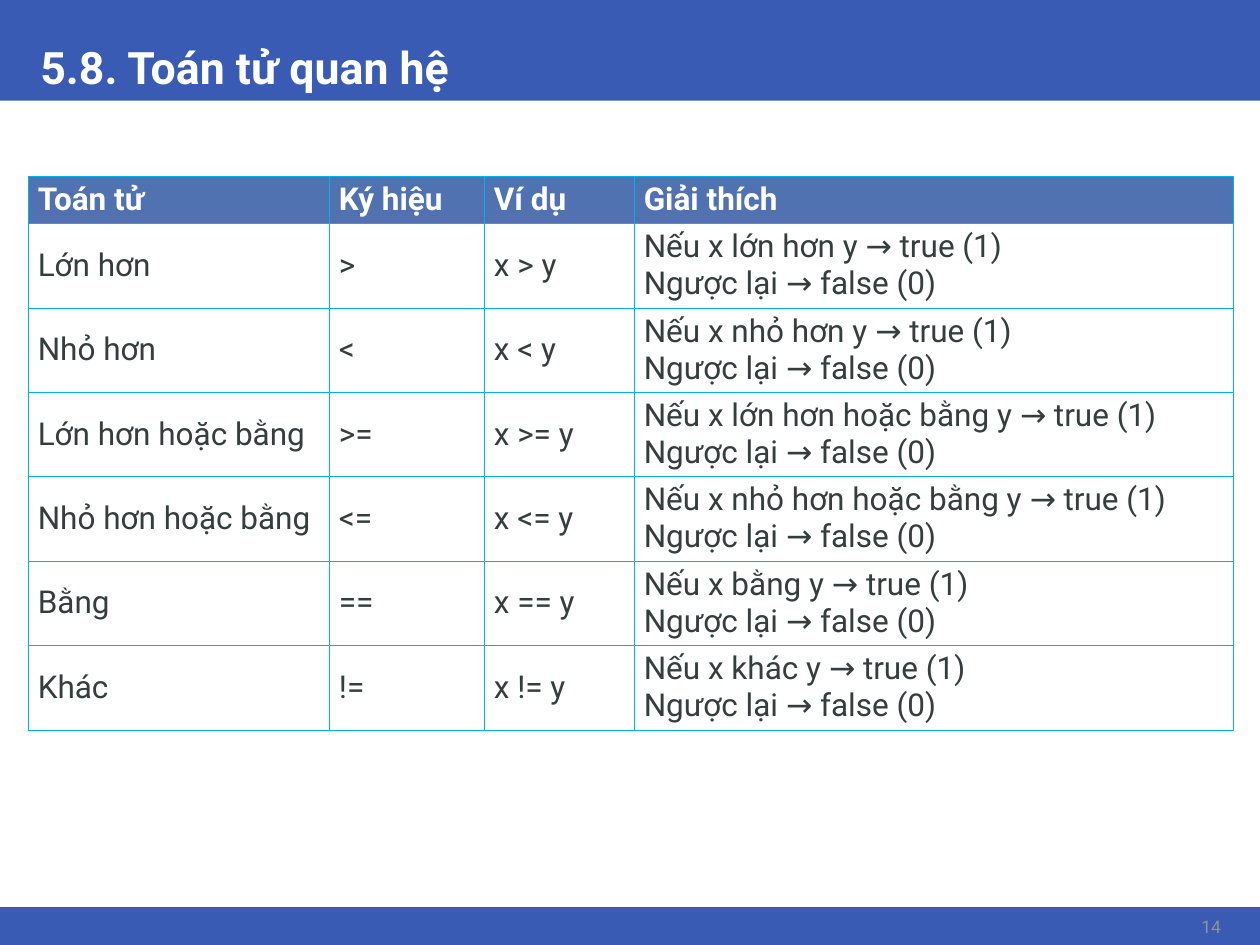
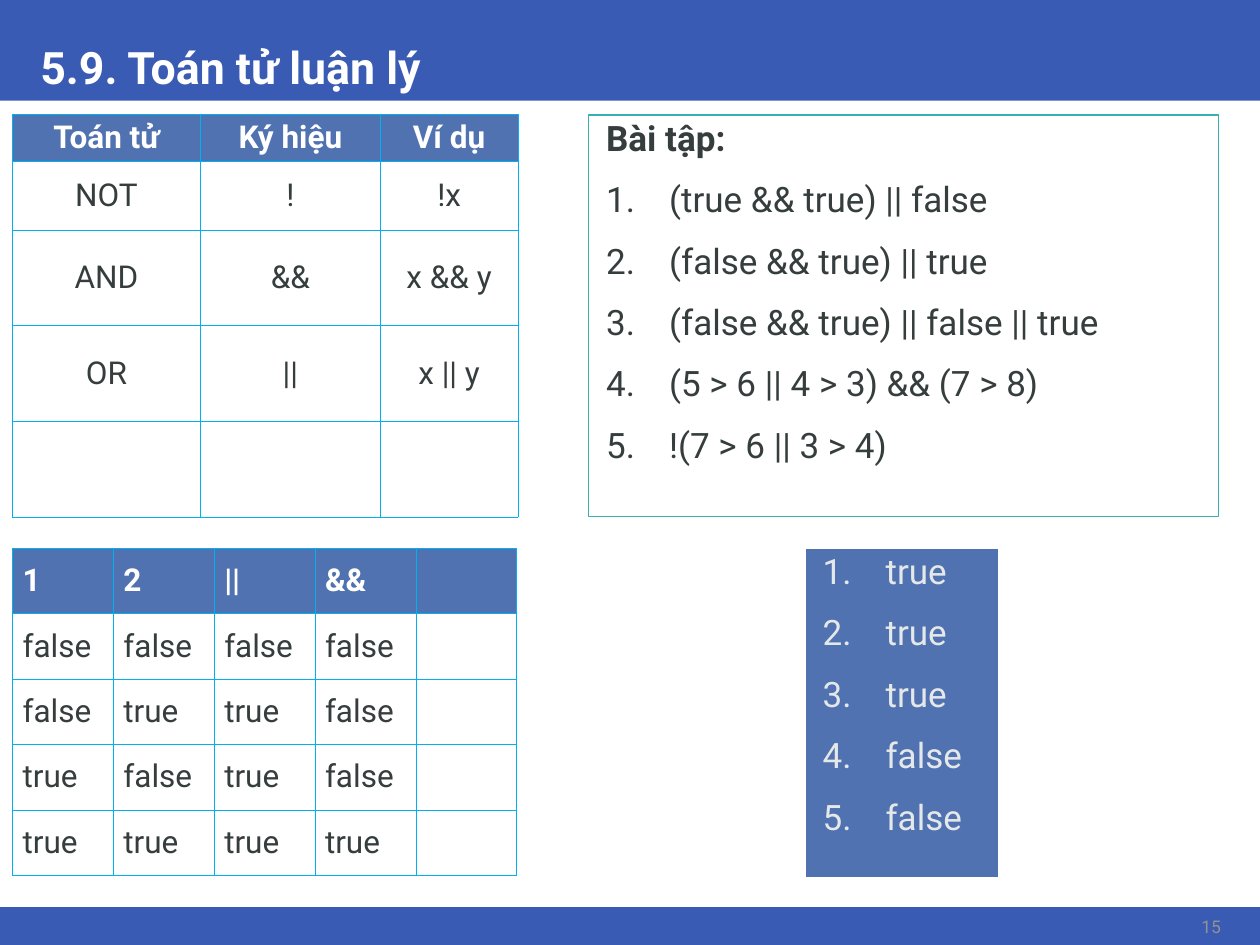
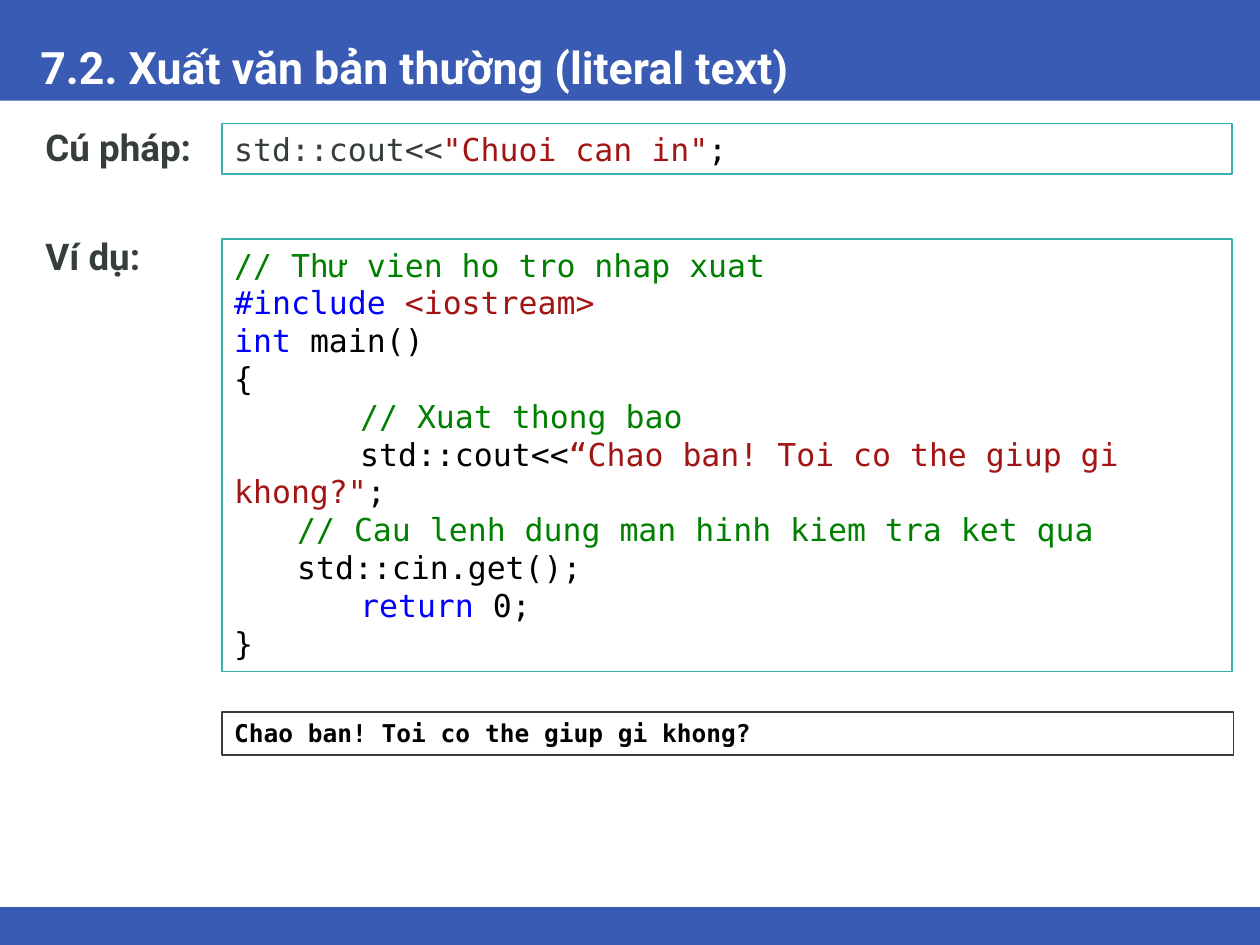
from lxml.etree import SubElement
from pptx import Presentation
from pptx.dml.color import RGBColor
from pptx.enum.shapes import MSO_SHAPE
from pptx.enum.text import MSO_ANCHOR, MSO_AUTO_SIZE, PP_ALIGN
from pptx.oxml.ns import qn
from pptx.util import Inches, Pt

# Shared style
BAND_BLUE = RGBColor(0x3A, 0x5B, 0xB3)
HEADER_BLUE = RGBColor(0x51, 0x72, 0xB1)
BORDER_BLUE = RGBColor(0x00, 0xB0, 0xF0)
TEAL = RGBColor(0x3A, 0xAF, 0xB2)
INK = RGBColor(0x36, 0x3D, 0x3D)
GRAY = RGBColor(0x91, 0x92, 0x92)
PALE = RGBColor(0xE5, 0xE8, 0xE8)
WHITE = RGBColor(0xFF, 0xFF, 0xFF)
BLACK = RGBColor(0x00, 0x00, 0x00)
CODE_RED = RGBColor(0xA3, 0x15, 0x15)
CODE_GREEN = RGBColor(0x00, 0x80, 0x00)
CODE_BLUE = RGBColor(0x00, 0x00, 0xFF)

TEXT_FONT = "Roboto"
CODE_FONT = "DejaVu Sans Mono"
TITLE_ONLY, TITLE_AND_BODY = 5, 1


def write(paragraph, text, *, size=18, color=INK, bold=False, font=TEXT_FONT,
          align=PP_ALIGN.LEFT, line_spacing=1.0, space_before=0,
          left=0, indent=0, numbered=False, tab=None):
    """Fill a paragraph with a string or with a list of (string, colour) runs."""
    properties = paragraph._p.get_or_add_pPr()
    properties.set("marL", str(Inches(left)))
    properties.set("indent", str(Inches(indent)))
    if numbered:
        SubElement(properties, qn("a:buFont"), typeface="+mj-lt")
        SubElement(properties, qn("a:buAutoNum"), type="arabicPeriod")
    else:
        SubElement(properties, qn("a:buNone"))
    if tab:
        tabs = SubElement(properties, qn("a:tabLst"))
        SubElement(tabs, qn("a:tab"), pos=str(Inches(tab)), algn="l")
    paragraph.alignment = align
    paragraph.line_spacing = line_spacing
    paragraph.space_before = Pt(space_before)
    paragraph.space_after = Pt(0)
    runs = [(text, color)] if isinstance(text, str) else text
    for run_text, run_color in runs:
        run = paragraph.add_run()
        run.text = run_text
        run.font.name = font
        run.font.size = Pt(size)
        run.font.bold = bold
        run.font.color.rgb = run_color


def write_lines(frame, lines, **style):
    for index, line in enumerate(lines):
        paragraph = frame.add_paragraph() if index else frame.paragraphs[0]
        write(paragraph, line, **style)


def write_list(frame, items, *, heading=None, color=INK):
    """Numbered list, with an optional bold heading above it."""
    entries = ([heading] if heading else []) + items
    for index, entry in enumerate(entries):
        paragraph = frame.add_paragraph() if index else frame.paragraphs[0]
        is_heading = heading is not None and index == 0
        write(paragraph, entry, size=20, color=color, bold=is_heading,
              line_spacing=0.9, space_before=13.5 if index else 0,
              left=0.04 if is_heading else 0.54,
              indent=0 if is_heading else -0.5, numbered=not is_heading)


def place(shape, left, top, width, height):
    shape.left, shape.top = Inches(left), Inches(top)
    shape.width, shape.height = Inches(width), Inches(height)


def paint(shape, fill, line=None, line_width=1):
    shape.fill.solid()
    shape.fill.fore_color.rgb = fill
    if line is None:
        shape.line.fill.background()
    else:
        shape.line.color.rgb = line
        shape.line.width = Pt(line_width)


def prepare(frame, anchor=MSO_ANCHOR.TOP):
    frame.word_wrap = True
    frame.auto_size = MSO_AUTO_SIZE.NONE
    frame.vertical_anchor = anchor
    return frame


class Deck:
    def __init__(self):
        self.presentation = Presentation()
        self.presentation.slide_width = Inches(10)
        self.presentation.slide_height = Inches(7.5)
        self.slide = None

    def add_slide(self, title, layout, number=None):
        self.slide = self.presentation.slides.add_slide(
            self.presentation.slide_layouts[layout])
        if len(self.presentation.slides) == 1:
            self.add_master_bands()
        shape = self.slide.shapes.title
        place(shape, 0.22, 0, 9.57, 0.8)
        write(prepare(shape.text_frame, MSO_ANCHOR.BOTTOM).paragraphs[0], title,
              size=25.5, color=WHITE, bold=True, line_spacing=0.9)
        if number:
            box = self.slide.shapes.add_textbox(
                Inches(9.26), Inches(7.22), Inches(0.53), Inches(0.26))
            write(prepare(box.text_frame, MSO_ANCHOR.MIDDLE).paragraphs[0], number,
                  size=10, color=GRAY, align=PP_ALIGN.RIGHT)

    def add_master_bands(self):
        """Top and bottom bands, moved behind everything on the master."""
        tree = self.presentation.slide_master.shapes.element
        for index, (top, height) in enumerate([(0, 0.8), (7.2, 0.3)]):
            band = self.add_box(0, top, 10, height, BAND_BLUE)
            band.element.nvSpPr.cNvPr.id = 101 + index
            tree.insert(2 + index, band.element)

    def add_box(self, left, top, width, height, fill=WHITE, line=None, line_width=1):
        shape = self.slide.shapes.add_shape(
            MSO_SHAPE.RECTANGLE, Inches(left), Inches(top), Inches(width), Inches(height))
        shape.shadow.inherit = False
        paint(shape, fill, line, line_width)
        prepare(shape.text_frame)
        return shape

    def add_body(self, left, top, width, height):
        shape = self.slide.placeholders[1]
        place(shape, left, top, width, height)
        prepare(shape.text_frame)
        return shape

    def add_code(self, top, height, lines, width=8.02, line=TEAL, **style):
        shape = self.add_box(1.76, top, width, height, line=line)
        write_lines(shape.text_frame, lines, font=CODE_FONT, tab=1, **style)

    def add_table(self, left, top, column_widths, row_heights, rows, align=PP_ALIGN.LEFT):
        table = self.slide.shapes.add_table(
            len(row_heights), len(column_widths), Inches(left), Inches(top),
            Inches(sum(column_widths)), Inches(sum(row_heights))).table
        table.horz_banding = False
        for column, width in zip(table.columns, column_widths):
            column.width = Inches(width)
        for row, height in zip(table.rows, row_heights):
            row.height = Inches(height)
        for row_index, row in enumerate(rows):
            for column_index, text in enumerate(row):
                self.format_cell(table.cell(row_index, column_index), text,
                                 row_index == 0, align)

    def format_cell(self, cell, text, is_header, align):
        properties = cell._tc.get_or_add_tcPr()
        for side in ("a:lnL", "a:lnR", "a:lnT", "a:lnB"):
            border = SubElement(properties, qn(side), w=str(Pt(0.25)))
            fill = SubElement(border, qn("a:solidFill"))
            SubElement(fill, qn("a:srgbClr"), val=str(BORDER_BLUE))
        cell.fill.solid()
        cell.fill.fore_color.rgb = HEADER_BLUE if is_header else WHITE
        cell.margin_left = cell.margin_right = Inches(0.08)
        cell.margin_top = cell.margin_bottom = Inches(0.04)
        cell.vertical_anchor = MSO_ANCHOR.MIDDLE
        if text:
            write_lines(cell.text_frame, text.split("\n"), bold=is_header,
                        color=WHITE if is_header else INK, align=align)


def add_relational_slide(deck):
    deck.add_slide("5.8. Toán tử quan hệ", TITLE_ONLY, "14")
    operators = [("Lớn hơn", ">"), ("Nhỏ hơn", "<"), ("Lớn hơn hoặc bằng", ">="),
                 ("Nhỏ hơn hoặc bằng", "<="), ("Bằng", "=="), ("Khác", "!=")]
    rows = [("Toán tử", "Ký hiệu", "Ví dụ", "Giải thích")]
    for name, symbol in operators:
        rows.append((name, symbol, f"x {symbol} y",
                     f"Nếu x {name.lower()} y → true (1)\nNgược lại → false (0)"))
    deck.add_table(0.22, 1.4, [2.39, 1.23, 1.19, 4.76],
                   [0.37] + [0.67] * len(operators), rows)


def add_logical_slide(deck):
    deck.add_slide("5.9. Toán tử luận lý", TITLE_AND_BODY, "15")

    # Exercises
    exercises = deck.add_body(4.67, 0.91, 5, 3.19)
    paint(exercises, WHITE, TEAL)
    write_list(exercises.text_frame, [
        "(true && true) || false",
        "(false && true) || true",
        "(false && true) || false || true",
        "(5 > 6 || 4 > 3) && (7 > 8)",
        "!(7 > 6 || 3 > 4)",
    ], heading="Bài tập:")

    # Operators and truth table
    deck.add_table(0.1, 0.91, [1.49, 1.43, 1.09], [0.37, 0.54] + [0.76] * 3, [
        ("Toán tử", "Ký hiệu", "Ví dụ"),
        ("NOT", "!", "!x"),
        ("AND", "&&", "x && y"),
        ("OR", "||", "x || y"),
        ("", "", ""),
    ], align=PP_ALIGN.CENTER)
    truth_rows = [("1", "2", "||", "&&", "")]
    for first in (False, True):
        for second in (False, True):
            values = (first, second, first or second, first and second)
            truth_rows.append([str(value).lower() for value in values] + [""])
    deck.add_table(0.1, 4.35, [0.8] * 5, [0.52] * 5, truth_rows)

    # Answers
    answers = deck.add_box(6.39, 4.35, 1.54, 2.62, HEADER_BLUE, WHITE, 1.5)
    write_list(answers.text_frame, ["true", "true", "true", "false", "false"], color=PALE)


def add_output_slide(deck):
    deck.add_slide("7.2. Xuất văn bản thường (literal text)", TITLE_AND_BODY)

    # Labels
    frame = deck.add_body(0.22, 0.98, 9.57, 6.05).text_frame
    label_style = dict(size=21, bold=True, line_spacing=0.9, left=0.04)
    write(frame.paragraphs[0], "Cú pháp:", **label_style)
    write(frame.add_paragraph(), "Ví dụ:", space_before=39.5, **label_style)

    # Console output, syntax and example
    deck.add_code(5.65, 0.34, ["Chao ban! Toi co the giup gi khong?"], width=8.03,
                  line=INK, size=14, color=BLACK, bold=True)
    deck.add_code(0.98, 0.4, [
        [("std::cout<<", INK), ('"Chuoi can in"', CODE_RED), (";", BLACK)]])
    deck.add_code(1.9, 3.43, [
        [("// Thư vien ho tro nhap xuat", CODE_GREEN)],
        [("#include ", CODE_BLUE), ("<iostream>", CODE_RED)],
        [("int", CODE_BLUE), (" main()", BLACK)],
        "{",
        [("    \t// Xuat thong bao", CODE_GREEN)],
        [("    \tstd::cout<<", BLACK),
         ('“Chao ban! Toi co the giup gi khong?"', CODE_RED), (";", BLACK)],
        [("\t// Cau lenh dung man hinh kiem tra ket qua", CODE_GREEN)],
        "\tstd::cin.get();",
        [("    \treturn", CODE_BLUE), (" 0;", BLACK)],
        "}",
    ], color=BLACK)


def main():
    deck = Deck()
    add_relational_slide(deck)
    add_logical_slide(deck)
    add_output_slide(deck)
    deck.presentation.save("out.pptx")


if __name__ == "__main__":
    main()
